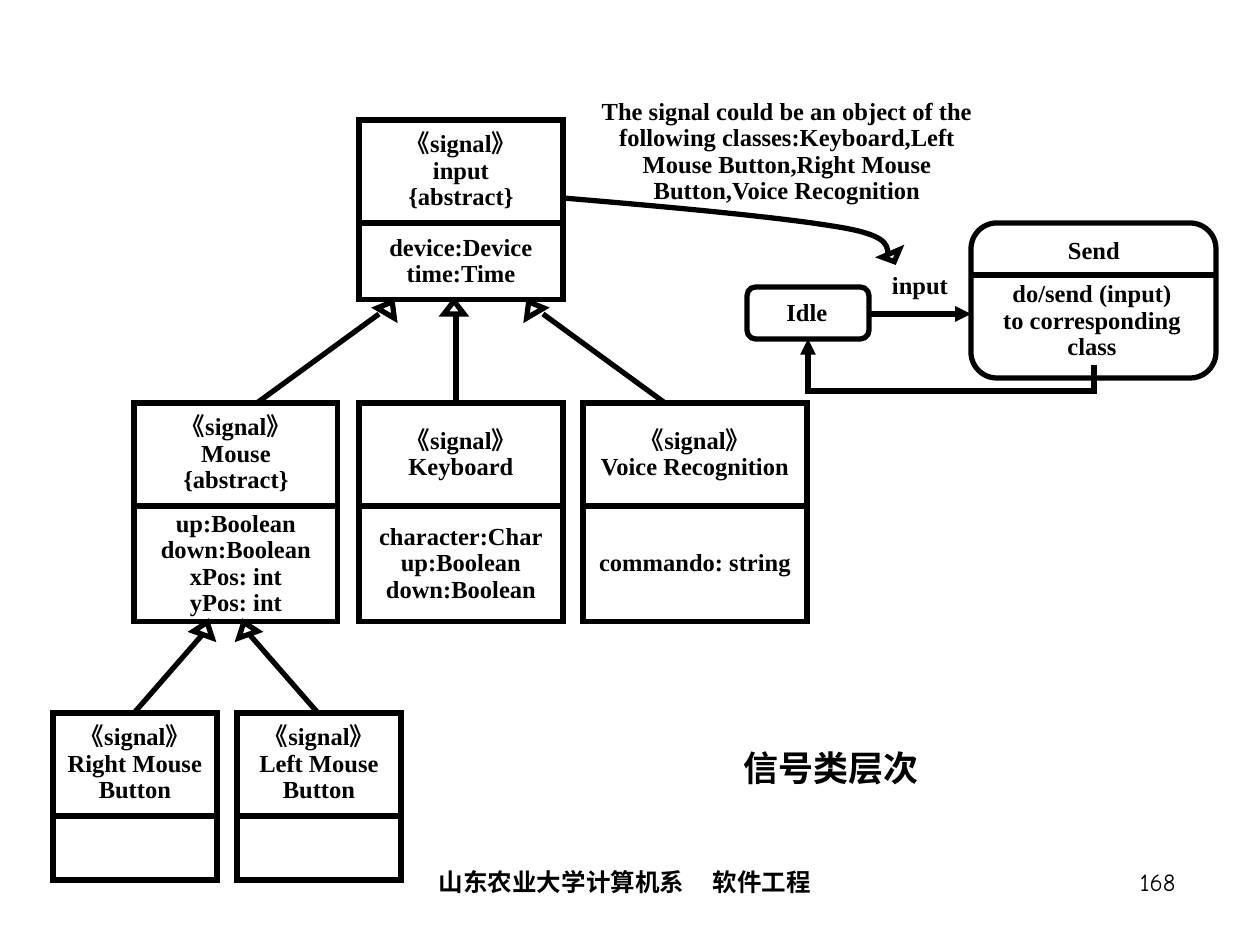
from lxml.etree import SubElement
from pptx import Presentation
from pptx.dml.color import RGBColor
from pptx.enum.shapes import MSO_CONNECTOR as CONN, MSO_SHAPE as SHAPE
from pptx.enum.text import MSO_ANCHOR as ANCHOR, PP_ALIGN as ALIGN
from pptx.oxml.ns import qn
from pptx.util import Pt

EMU_PER_PX = 914400 / 126
COLORS = {"ink": "000000", "paper": "FFFFFF"}
SERIF, COMIC = "Times New Roman", "Comic Neue"
SIGNAL = "《signal》"
HEAD_H = 103


def px(n):
    return round(n * EMU_PER_PX)


def rgb(name):
    return RGBColor.from_string(COLORS[name])


def write(s, text, size=14, font=SERIF, bold=True, align=ALIGN.CENTER,
          anchor=ANCHOR.MIDDLE, spacing=0.9, gap=None):
    """Fill a shape, one paragraph a line; gap widens spaces, in 1/100 pt."""
    tf = s.text_frame
    tf.word_wrap = True
    tf.vertical_anchor = anchor
    for i, line in enumerate(text.split("\n")):
        p = tf.paragraphs[0] if i == 0 else tf.add_paragraph()
        p.alignment = align
        p.line_spacing = spacing
        for part in line.partition(" ") if gap else [line]:
            r = p.add_run()
            r.text = part
            f = r.font
            f.name, f.size, f.bold = font, Pt(size), bold
            f.color.rgb = rgb("ink")
            if part == " ":
                r._r.get_or_add_rPr().set("spc", str(gap))


def add_text(shapes, box, text, **fmt):
    write(shapes.add_textbox(*map(px, box)), text, **fmt)


def stroke(s, arrow=False):
    """Give a shape or connector the thick ink line, mitred, without shadow."""
    s.line.color.rgb = rgb("ink")
    s.line.width = Pt(3)
    ln = s.line._get_or_add_ln()
    SubElement(ln, qn("a:miter"), lim="800000")
    if arrow:
        SubElement(ln, qn("a:tailEnd"), type="triangle")


def add_box(shapes, kind, box, fill=None, outline=True, rotation=0):
    s = shapes.add_shape(kind, *map(px, box))
    s.shadow.inherit = False
    s.rotation = rotation
    if fill:
        s.fill.solid()
        s.fill.fore_color.rgb = rgb(fill)
    else:
        s.fill.background()
    if outline:
        stroke(s)
    else:
        s.line.fill.background()
    return s


def add_line(shapes, start, end, arrow=False):
    s = shapes.add_connector(CONN.STRAIGHT, *map(px, start + end))
    SubElement(s._element.spPr, qn("a:effectLst"))
    stroke(s, arrow)


def add_path(shapes, points, arrow=False, curved=False):
    """Open outline; when curved, each three points form a Bezier segment."""
    fb = shapes.build_freeform(*points[0], scale=EMU_PER_PX)
    fb.add_line_segments(points[1:], close=False)
    s = fb.convert_to_shape()
    s.shadow.inherit = False
    s.fill.background()
    stroke(s, arrow)
    if curved:
        path = s._element.find(".//" + qn("a:path"))
        steps = path.findall(qn("a:lnTo"))
        for i in range(0, len(steps), 3):
            bezier = SubElement(path, qn("a:cubicBezTo"))
            for step in steps[i:i + 3]:
                bezier.append(step[0])
                path.remove(step)


def add_class(shapes, x, y, w, body_h, name, attributes=""):
    """UML class: a name compartment above an attribute compartment."""
    for top, h, text in ((y, HEAD_H, f"{SIGNAL}\n{name}"),
                         (y + HEAD_H, body_h, attributes)):
        s = add_box(shapes, SHAPE.RECTANGLE, (x, top, w, h))
        if text:
            write(s, text)


def add_generalization(shapes, tip, angle, start, end):
    add_box(shapes, SHAPE.ISOSCELES_TRIANGLE, (*tip, 20, 13), "paper",
            rotation=angle)
    add_line(shapes, start, end)


def add_state_machine(shapes):
    add_text(shapes, (756, 294, 102, 39), "Idle")
    s = add_box(shapes, SHAPE.RECTANGLE, (869, 275, 102, 39), "paper",
                outline=False)
    write(s, "input", anchor=ANCHOR.TOP, spacing=0.56)
    add_box(shapes, SHAPE.ROUNDED_RECTANGLE, (747, 287, 122, 52))
    add_path(shapes, [(1094, 365), (1094, 391), (808, 391), (808, 339)],
             arrow=True)
    add_text(shapes, (992, 232, 204, 39), "Send")
    add_text(shapes, (980, 278, 224, 87),
             "do/send (input)\nto corresponding\nclass")
    add_box(shapes, SHAPE.ROUNDED_RECTANGLE, (971, 223, 245, 155))
    add_line(shapes, (971, 275), (1216, 275))
    add_line(shapes, (869, 314), (971, 314), arrow=True)
    add_text(shapes, (583, 94, 408, 116),
             "The signal could be an object of the following classes:"
             "Keyboard,Left Mouse Button,Right Mouse Button,Voice Recognition")


def add_hierarchy(shapes):
    for args in (
        (359, 120, 204, 77, "input\n{abstract}", "device:Device\ntime:Time"),
        (359, 403, 204, 116, "Keyboard",
         "character:Char\nup:Boolean\ndown:Boolean"),
        (583, 403, 224, 116, "Voice Recognition", "commando: string"),
        (134, 403, 204, 116, "Mouse\n{abstract}",
         "up:Boolean\ndown:Boolean\nxPos: int\nyPos: int"),
        (53, 713, 164, 64, "Right Mouse\nButton"),
        (237, 713, 164, 64, "Left Mouse\nButton"),
    ):
        add_class(shapes, *args)
    for args in (
        ((195, 622), 19.7, (203, 634), (134, 713)),
        ((236, 622), -19.7, (249, 634), (318, 713)),
        ((444, 301), 0, (456, 314), (456, 403)),
        ((379, 301), 30.3, (379, 314), (257, 403)),
        ((522, 301), -30.3, (543, 314), (665, 403)),
    ):
        add_generalization(shapes, *args)


def main():
    prs = Presentation()
    prs.slide_width, prs.slide_height = px(1260), px(945)
    shapes = prs.slides.add_slide(prs.slide_layouts[6]).shapes

    add_state_machine(shapes)
    add_hierarchy(shapes)
    add_path(shapes, [(563, 198), (670, 207), (777, 217), (832, 226),
                      (886, 234), (887, 244), (888, 253)], curved=True)
    add_box(shapes, SHAPE.ISOSCELES_TRIANGLE, (883, 253, 19, 9), "paper",
            rotation=156.7)

    add_text(shapes, (662, 725, 339, 94), "信号类层次", size=20, spacing=0.72)
    footer = dict(font=COMIC, anchor=ANCHOR.TOP, spacing=1.0)
    add_text(shapes, (252, 861, 746, 63), "山东农业大学计算机系 软件工程",
             gap=1300, **footer)
    add_text(shapes, (926, 861, 262, 63), "168", bold=False,
             align=ALIGN.RIGHT, **footer)
    prs.save("out.pptx")


if __name__ == "__main__":
    main()
